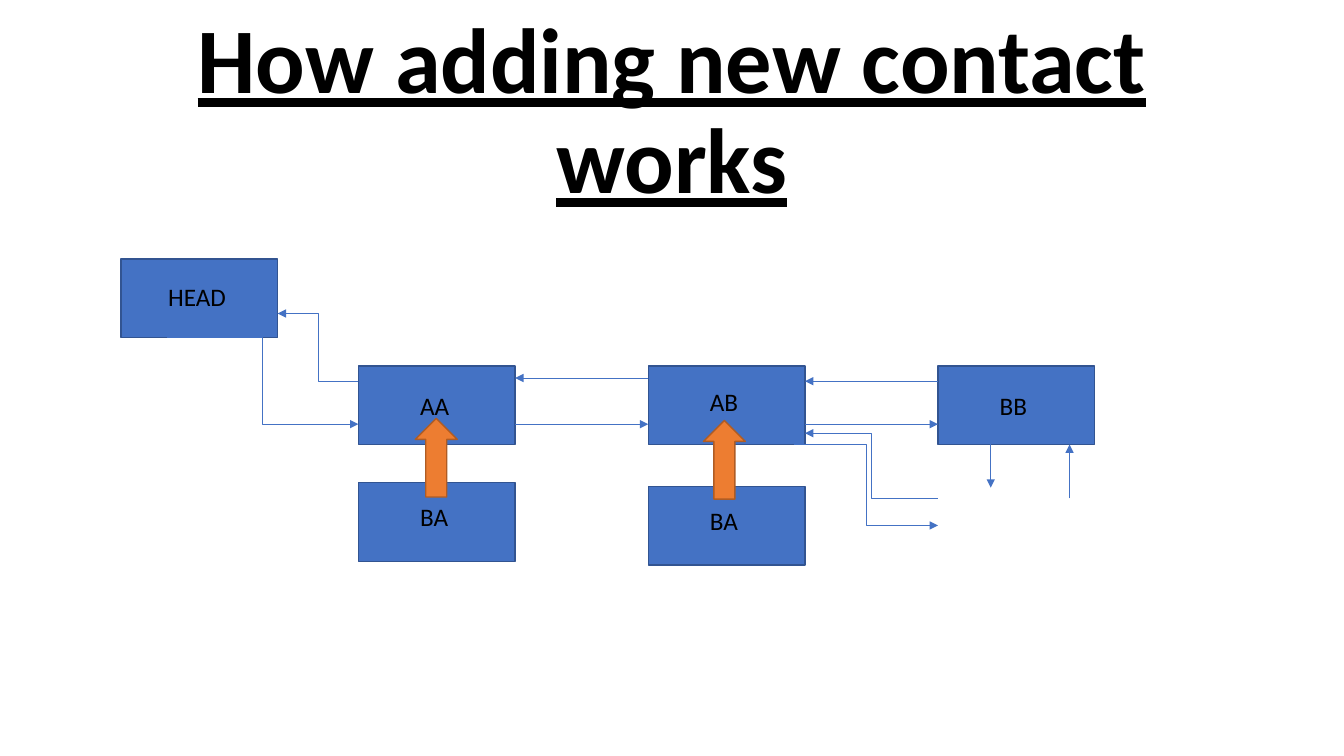
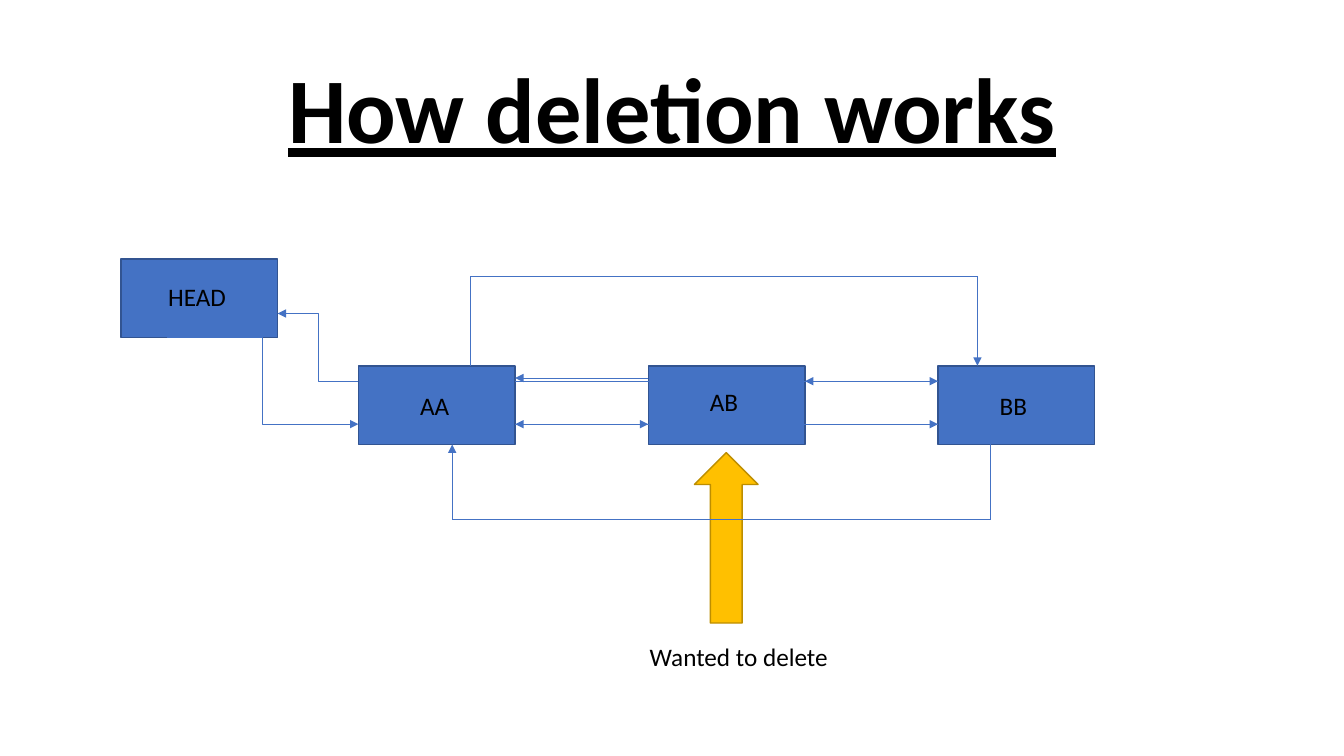
from dataclasses import dataclass

from lxml import etree
from pptx import Presentation
from pptx.dml.color import RGBColor
from pptx.enum.shapes import MSO_CONNECTOR, MSO_SHAPE
from pptx.enum.text import MSO_ANCHOR, MSO_AUTO_SIZE, PP_ALIGN
from pptx.oxml.ns import qn
from pptx.util import Pt

STRAIGHT, ELBOW = MSO_CONNECTOR.STRAIGHT, MSO_CONNECTOR.ELBOW
RECTANGLE, DOWN_ARROW = MSO_SHAPE.RECTANGLE, MSO_SHAPE.DOWN_ARROW
MIDDLE, CENTER = MSO_ANCHOR.MIDDLE, PP_ALIGN.CENTER
GROW = MSO_AUTO_SIZE.SHAPE_TO_FIT_TEXT
BLANK_LAYOUT = 6


@dataclass(frozen=True)
class Theme:
    font: str = "Calibri"
    title_size: int = 66
    label_size: int = 18
    line_width: float = 0.5
    outline_width: float = 1
    text: str = "000000"
    background: str = "FFFFFF"
    node: tuple = ("4472C4", "325491")
    insertion: tuple = ("ED7D31", "AF5C24")
    deletion: tuple = ("FFC000", "BD8E00")
    pointer: str = "4472C4"


THEME = Theme()

# Grid of the linked list, in points
NODE_W, NODE_H = 112, 56.2
HEAD_X, HEAD_Y = 86.4, 185
AA_X, AB_X, BB_X = (256 + 207 * column for column in range(3))
ROW_Y = 261.3
HEAD_BOTTOM, ROW_BOTTOM = HEAD_Y + NODE_H, ROW_Y + NODE_H
LABEL_DX, LABEL_W, LABEL_H = 37, 37, 29
NEXT_Y, PREVIOUS_Y, AB_PREVIOUS_Y = 303, 272.3, 270


def color(value):
    return RGBColor.from_string(value)


def add_text(slide, text, left, top, width, height, size):
    box = slide.shapes.add_textbox(Pt(left), Pt(top), Pt(width), Pt(height))
    box.text_frame.word_wrap = True
    run = box.text_frame.paragraphs[0].add_run()
    run.text = text
    run.font.name = THEME.font
    run.font.size = Pt(size)
    run.font.color.rgb = color(THEME.text)
    return box.text_frame, run


def add_title(slide, text):
    frame, run = add_text(slide, text, 66, 28.75, 828, 104.4, THEME.title_size)
    frame.vertical_anchor = MIDDLE
    frame.paragraphs[0].alignment = CENTER
    frame.paragraphs[0].line_spacing = 0.9
    run.font.bold = run.font.underline = True


def add_label(slide, text, left, top, width=LABEL_W):
    frame, _ = add_text(slide, text, left, top, width, LABEL_H, THEME.label_size)
    frame.auto_size = GROW


def add_block(slide, kind, left, top, width, height, colors):
    block = slide.shapes.add_shape(kind, Pt(left), Pt(top), Pt(width), Pt(height))
    fill, outline = colors
    block.shadow.inherit = False
    block.fill.solid()
    block.fill.fore_color.rgb = color(fill)
    block.line.color.rgb = color(outline)
    block.line.width = Pt(THEME.outline_width)
    return block


def add_node(slide, left, top):
    add_block(slide, RECTANGLE, left, top, NODE_W, NODE_H, THEME.node)


def add_up_arrow(slide, left, top, width, height, colors):
    add_block(slide, DOWN_ARROW, left, top, width, height, colors).rotation = 180


def add_pointer(slide, start, end, kind=STRAIGHT, head=True):
    pointer = slide.shapes.add_connector(kind, *(Pt(value) for value in start + end))
    pointer.line.color.rgb = color(THEME.pointer)
    pointer.line.width = Pt(THEME.line_width)
    properties = pointer._element.spPr
    if head:
        etree.SubElement(properties.find(qn("a:ln")), qn("a:tailEnd"), type="triangle")
    etree.SubElement(properties, qn("a:effectLst"))


def add_linked_list(slide):
    # Nodes
    add_node(slide, HEAD_X, HEAD_Y)
    for left in (AA_X, AB_X, BB_X):
        add_node(slide, left, ROW_Y)

    # Next and previous pointers
    add_pointer(slide, (119.5, HEAD_BOTTOM), (AA_X, NEXT_Y), ELBOW)
    for left, right, previous_y in ((AA_X, AB_X, AB_PREVIOUS_Y), (AB_X, BB_X, PREVIOUS_Y)):
        add_pointer(slide, (left + NODE_W, NEXT_Y), (right, NEXT_Y))
        add_pointer(slide, (right, previous_y), (left + NODE_W, previous_y))
    add_pointer(slide, (AA_X, PREVIOUS_Y), (HEAD_X + NODE_W, 224), ELBOW)

    # Node names
    add_label(slide, "HEAD", 113, 197.3, 60)
    for name, left, top in (("AA", AA_X, 275), ("AB", AB_X, 272.3), ("BB", BB_X, 275)):
        add_label(slide, name, left + LABEL_DX, top)


def add_insertion(slide):
    # New contact offered below each node
    for left, top, arrow_x, arrow_y in ((AA_X, 344.7, 296.6, 298.8), (AB_X, 347.4, 502.4, 300.3)):
        add_node(slide, left, top)
        add_up_arrow(slide, arrow_x, arrow_y, 30, 56.2, THEME.insertion)
        add_label(slide, "BA", left + LABEL_DX, top + 10, 47.5)

    # Pointers around the insertion place
    add_pointer(slide, (BB_X, 356), (AB_X + NODE_W, 309.5), ELBOW)
    add_pointer(slide, (764, 356), (764, ROW_BOTTOM))
    add_pointer(slide, (567.5, ROW_BOTTOM), (BB_X, 375.3), ELBOW)
    add_pointer(slide, (707.7, 309.5), (707.7, 348.3))


def add_route(slide, points):
    last = len(points) - 2
    for step, (start, end) in enumerate(zip(points, points[1:])):
        add_pointer(slide, start, end, head=step == last)


def add_deletion(slide):
    # Contact to delete
    add_up_arrow(slide, 496, 323.3, 45.5, 121.7, THEME.deletion)
    add_label(slide, "Wanted to delete", 457, 454.3, 325)

    # Routes that bypass the deleted node
    add_route(slide, [(336, ROW_Y), (336, 197.3), (698.2, 197.3), (698.2, ROW_Y)])
    add_route(slide, [(707.7, ROW_BOTTOM), (707.7, 370.8), (323, 370.8), (323, ROW_BOTTOM)])
    add_pointer(slide, (AA_X + NODE_W, PREVIOUS_Y), (BB_X, PREVIOUS_Y))
    add_pointer(slide, (BB_X, NEXT_Y), (AA_X + NODE_W, NEXT_Y))


def main():
    deck = Presentation()
    deck.slide_width, deck.slide_height = Pt(960), Pt(540)
    for title, add_operation in (
        ("How adding new contact works", add_insertion),
        ("How deletion works", add_deletion),
    ):
        slide = deck.slides.add_slide(deck.slide_layouts[BLANK_LAYOUT])
        slide.background.fill.solid()
        slide.background.fill.fore_color.rgb = color(THEME.background)
        add_title(slide, title)
        add_linked_list(slide)
        add_operation(slide)
    deck.save("out.pptx")


main()
